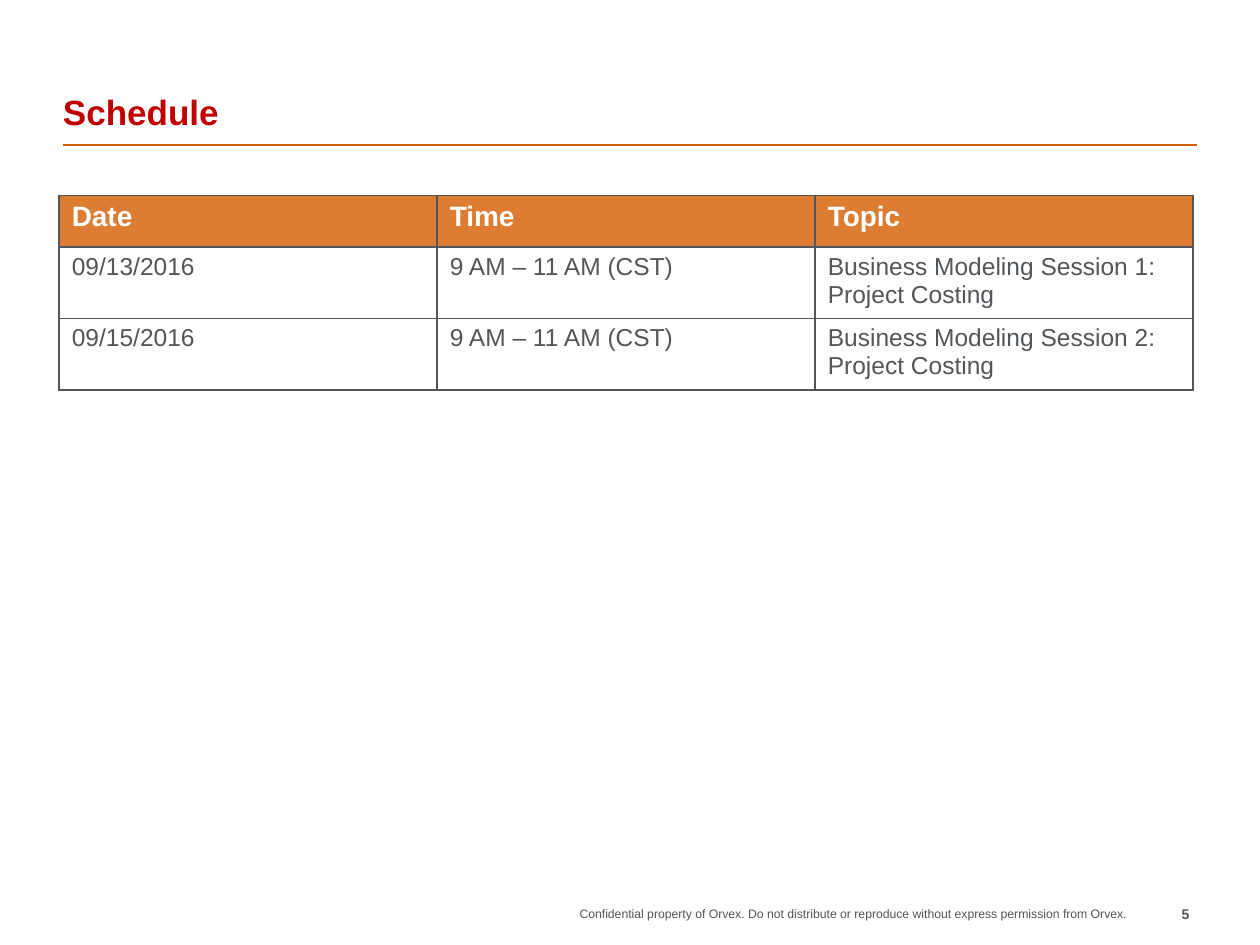
import pptx
import pptx.dml.color
import pptx.enum.shapes
import pptx.enum.text
import pptx.oxml
import pptx.oxml.ns
import pptx.util
from pptx.util import Inches

COLORS = {
    "title": "C00000",
    "rule": "D45D00",
    "header": "DD7D33",
    "text": "53565A",
    "white": "FFFFFF",
}
SCHEDULE = [
    ("Date", "Time", "Topic"),
    ("09/13/2016", "9 AM – 11 AM (CST)", "Business Modeling Session 1: Project Costing"),
    ("09/15/2016", "9 AM – 11 AM (CST)", "Business Modeling Session 2: Project Costing"),
]
ALIGN = pptx.enum.text.PP_ALIGN
ANCHOR = pptx.enum.text.MSO_ANCHOR


def rgb(name):
    return pptx.dml.color.RGBColor.from_string(COLORS[name])


def style_paragraph(paragraph, size, color, bold=False):
    paragraph.font.name = "Arial"
    paragraph.font.size = pptx.util.Pt(size)
    paragraph.font.bold = bold
    paragraph.font.color.rgb = rgb(color)


def add_text(slide, box, text, size, color, bold=False, align=ALIGN.LEFT, anchor=ANCHOR.TOP):
    frame = slide.shapes.add_textbox(*box).text_frame
    frame.word_wrap = True
    frame.vertical_anchor = anchor
    frame.margin_left = frame.margin_right = frame.margin_top = frame.margin_bottom = 0
    paragraph = frame.paragraphs[0]
    paragraph.text = text
    paragraph.alignment = align
    style_paragraph(paragraph, size, color, bold)


def add_title(slide, left, top, width, height):
    add_text(slide, (left, top, width, height), "Schedule", 20, "title", True, anchor=ANCHOR.BOTTOM)
    rule_top = top + height + Inches(0.1)
    rule = slide.shapes.add_connector(
        pptx.enum.shapes.MSO_CONNECTOR.STRAIGHT, left, rule_top, left + width, rule_top
    )
    rule.line.color.rgb = rgb("rule")
    rule.line.width = pptx.util.Pt(1)
    rule._element.spPr.append(pptx.oxml.parse_xml(f"<a:effectLst {pptx.oxml.ns.nsdecls('a')}/>"))


def add_borders(cell):
    properties = cell._tc.get_or_add_tcPr()
    for position, side in enumerate(("lnL", "lnR", "lnT", "lnB")):
        border = pptx.oxml.parse_xml(
            f'<a:{side} {pptx.oxml.ns.nsdecls("a")} w="{pptx.util.Pt(1)}"><a:solidFill>'
            f'<a:srgbClr val="{COLORS["text"]}"/></a:solidFill></a:{side}>'
        )
        properties.insert(position, border)


def add_schedule(slide, left, top, width, row_height):
    rows, columns = len(SCHEDULE), len(SCHEDULE[0])
    table = slide.shapes.add_table(rows, columns, left, top, width, row_height * rows).table
    table.horz_banding = False
    for row_index, row in enumerate(SCHEDULE):
        is_header = row_index == 0
        for column_index, text in enumerate(row):
            cell = table.cell(row_index, column_index)
            cell.text = text
            paragraph = cell.text_frame.paragraphs[0]
            if is_header:
                cell.fill.solid()
                cell.fill.fore_color.rgb = rgb("header")
                style_paragraph(paragraph, 16, "white", True)
            else:
                cell.fill.background()
                style_paragraph(paragraph, 14, "text")
            add_borders(cell)


def add_footer(slide, left, top, width, height):
    number_width = Inches(0.5)
    notice_width = width - number_width
    notice = (
        "Confidential property of Orvex. Do not distribute or reproduce "
        "without express permission from Orvex."
    )
    add_text(slide, (left, top, notice_width, height), notice, 7, "text", align=ALIGN.RIGHT)
    number_box = (left + notice_width, top, number_width, height)
    add_text(slide, number_box, "5", 8, "text", True, ALIGN.RIGHT)


def main():
    presentation = pptx.Presentation()
    presentation.slide_width = Inches(10)
    presentation.slide_height = Inches(7.5)
    slide = presentation.slides.add_slide(presentation.slide_layouts[6])
    add_title(slide, Inches(0.5), Inches(0.21), Inches(9), Inches(0.84))
    add_schedule(slide, Inches(0.47), Inches(1.55), Inches(9), Inches(0.41))
    add_footer(slide, Inches(3.62), Inches(7.19), Inches(5.82), Inches(0.23))
    presentation.save("out.pptx")


if __name__ == "__main__":
    main()
